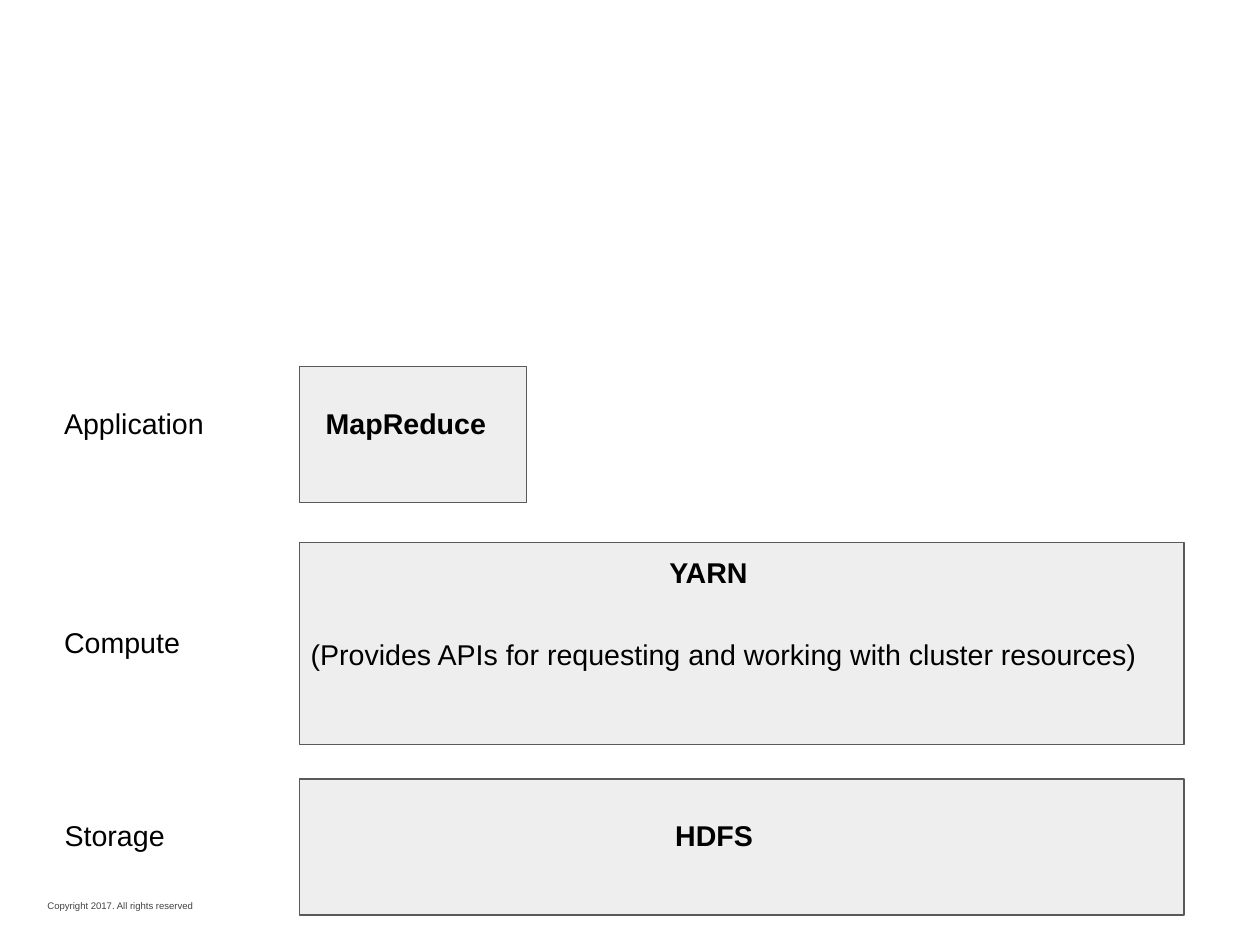
from dataclasses import dataclass

from pptx import Presentation
from pptx.dml.color import RGBColor
from pptx.enum.shapes import MSO_SHAPE
from pptx.enum.text import MSO_ANCHOR
from pptx.slide import Slide
from pptx.util import Cm, Emu, Inches, Pt

SLIDE_WIDTH, SLIDE_HEIGHT = Cm(28), Cm(21)

# All positions and sizes are percentages of the slide's width or height.
LABEL_LEFT, LABEL_WIDTH = 4.19, 19.06
STACK_LEFT, STACK_WIDTH = 23.76, 70.22
LINE_HEIGHT = 8.59


@dataclass(frozen=True)
class Area:
    left: float
    top: float
    width: float
    height: float

    def to_emu(self) -> tuple[Emu, Emu, Emu, Emu]:
        return (
            Emu(round(SLIDE_WIDTH * self.left / 100)),
            Emu(round(SLIDE_HEIGHT * self.top / 100)),
            Emu(round(SLIDE_WIDTH * self.width / 100)),
            Emu(round(SLIDE_HEIGHT * self.height / 100)),
        )


@dataclass(frozen=True)
class Layer:
    label: str
    label_top: float
    block: Area
    title: str
    title_left: float
    title_top: float
    title_width: float = 13.25
    label_left: float = LABEL_LEFT


LAYERS = [
    Layer("Storage", 85.34, Area(STACK_LEFT, 82.44, STACK_WIDTH, 14.39),
          "HDFS", 52.7, 85.34, label_left=4.24),
    Layer("Application", 41.72, Area(STACK_LEFT, 38.78, 18.06, 14.39),
          "MapReduce", 24.96, 41.72, 16.88),
    Layer("Compute", 64.94, Area(STACK_LEFT, 57.41, STACK_WIDTH, 21.4),
          "YARN", 52.23, 57.56),
]


def color(hex_code: str) -> RGBColor:
    return RGBColor.from_string(hex_code)


def add_text(slide: Slide, text: str, area: Area, size: float = 18,
             hex_code: str = "000000", bold: bool = False,
             anchor: MSO_ANCHOR = MSO_ANCHOR.TOP) -> None:
    frame = slide.shapes.add_textbox(*area.to_emu()).text_frame
    frame.word_wrap = True
    frame.vertical_anchor = anchor
    frame.margin_left = frame.margin_right = Inches(0.1)
    frame.margin_top = frame.margin_bottom = Inches(0.1)
    frame.text = text
    font = frame.paragraphs[0].runs[0].font
    font.name, font.size, font.bold = "Arial", Pt(size), bold
    font.color.rgb = color(hex_code)


def add_block(slide: Slide, area: Area) -> None:
    block = slide.shapes.add_shape(MSO_SHAPE.RECTANGLE, *area.to_emu())
    block.shadow.inherit = False
    block.fill.solid()
    block.fill.fore_color.rgb = color("EEEEEE")
    block.line.color.rgb = color("595959")
    block.line.width = Pt(0.75)


def add_layer(slide: Slide, layer: Layer) -> None:
    add_block(slide, layer.block)
    add_text(slide, layer.title, bold=True,
             area=Area(layer.title_left, layer.title_top, layer.title_width, LINE_HEIGHT))
    add_text(slide, layer.label,
             Area(layer.label_left, layer.label_top, LABEL_WIDTH, LINE_HEIGHT))


def main() -> None:
    deck = Presentation()
    deck.slide_width, deck.slide_height = SLIDE_WIDTH, SLIDE_HEIGHT
    slide = deck.slides.add_slide(deck.slide_layouts[6])

    add_text(slide, "Copyright 2017. All rights reserved", Area(2.88, 94.07, 24.5, 3.63),
             size=6, hex_code="434343", anchor=MSO_ANCHOR.MIDDLE)
    for layer in LAYERS:
        add_layer(slide, layer)
    add_text(slide, "(Provides APIs for requesting and working with cluster resources)",
             Area(STACK_LEFT, 66.14, STACK_WIDTH, 11.49))

    deck.save("out.pptx")


if __name__ == "__main__":
    main()
